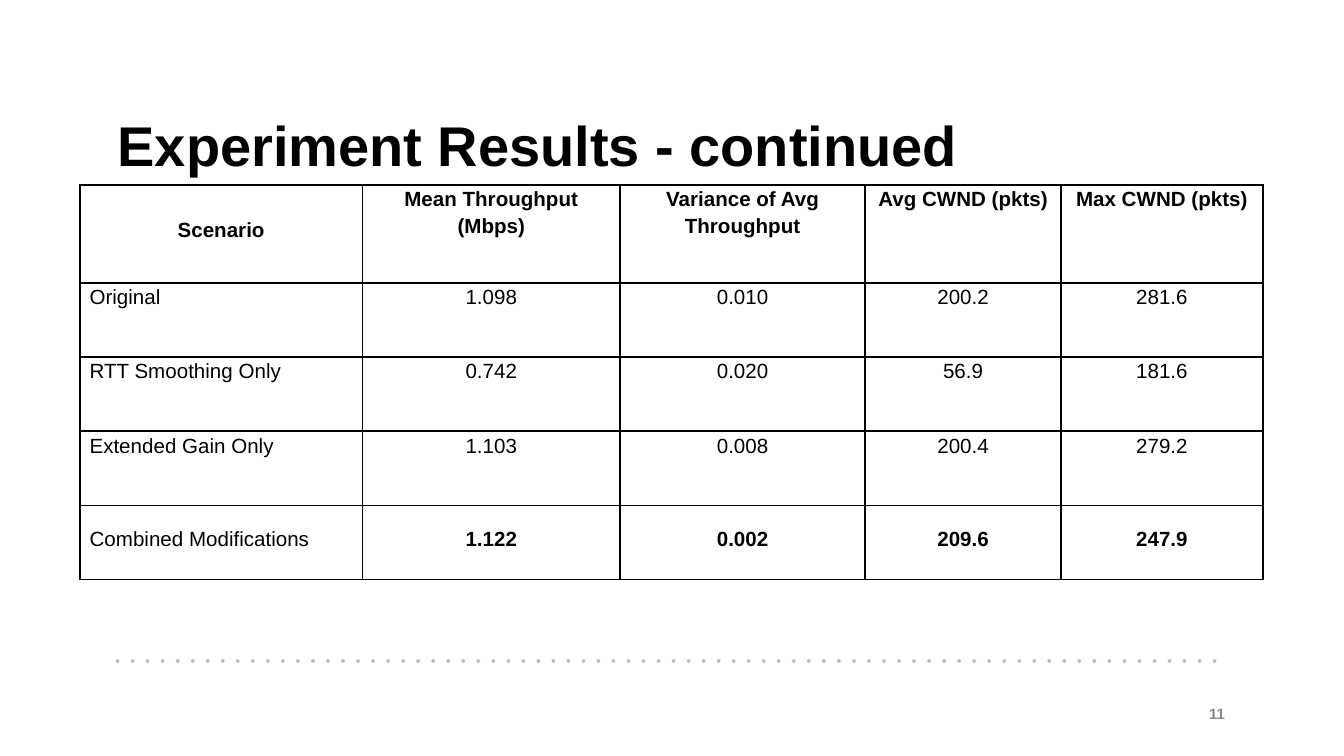
from lxml.etree import SubElement
from pptx import Presentation
from pptx.dml.color import RGBColor
from pptx.enum.shapes import MSO_CONNECTOR
from pptx.enum.text import MSO_ANCHOR, PP_ALIGN
from pptx.oxml import parse_xml
from pptx.oxml.ns import nsdecls, qn
from pptx.util import Pt

PX = 9525
THEME = {
    "font": "Arial",
    "ink": "000000",
    "muted": "888888",
    "rule": "BFBFBF",
    "title": 30,
    "body": 11,
    "number": 8,
}


def write_text(frame, text, size, color=THEME["ink"], bold=False, align=PP_ALIGN.LEFT,
               line_spacing=1.0, gap=0):
    para = frame.paragraphs[0]
    para.alignment = align
    para.line_spacing = line_spacing
    para.space_before = para.space_after = Pt(gap)
    span = para.add_run()
    span.text = text
    span.font.name = THEME["font"]
    span.font.size = Pt(size)
    span.font.bold = bold
    span.font.color.rgb = RGBColor.from_string(color)


def add_text_box(page, bounds, margins, text, **format_options):
    box = page.shapes.add_textbox(*[value * PX for value in bounds])
    frame = box.text_frame
    frame.word_wrap = True
    frame.vertical_anchor = MSO_ANCHOR.MIDDLE
    frame.margin_left = frame.margin_right = margins[0] * PX
    frame.margin_top = frame.margin_bottom = margins[1] * PX
    write_text(frame, text, **format_options)


deck = Presentation()
deck.slide_width = 960 * PX
deck.slide_height = 540 * PX
page = deck.slides.add_slide(deck.slide_layouts[6])

rule = page.shapes.add_connector(MSO_CONNECTOR.STRAIGHT, 84 * PX, 472 * PX, 876 * PX, 472 * PX)
rule.line.width = Pt(2)
rule.line.color.rgb = RGBColor.from_string(THEME["rule"])
outline = rule.line._get_or_add_ln()
outline.set("cap", "rnd")
SubElement(outline, qn("a:prstDash"), val="dot")
SubElement(rule._element.spPr, qn("a:effectLst"))

add_text_box(page, (84, 67, 792, 84), (0, 0), "Experiment Results - continued",
             size=THEME["title"], bold=True, line_spacing=0.7)
add_text_box(page, (666, 495, 216, 29), (7, 4), "11", size=THEME["number"],
             color=THEME["muted"], bold=True, align=PP_ALIGN.RIGHT)

rows = [
    ["Scenario", "Mean Throughput (Mbps)", "Variance of Avg Throughput",
     "Avg CWND (pkts)", "Max CWND (pkts)"],
    ["Original", "1.098", "0.010", "200.2", "281.6"],
    ["RTT Smoothing Only", "0.742", "0.020", "56.9", "181.6"],
    ["Extended Gain Only", "1.103", "0.008", "200.4", "279.2"],
    ["Combined Modifications", "1.122", "0.002", "209.6", "247.9"],
]
column_widths = [202, 184, 175, 140, 144]
row_heights = [70] + [53] * 4
last_row = len(rows) - 1

results = page.shapes.add_table(len(rows), len(column_widths), 57 * PX, 132 * PX,
                                sum(column_widths) * PX, sum(row_heights) * PX).table
results.first_row = False
results.horz_banding = False
for column, width in zip(results.columns, column_widths):
    column.width = width * PX
for row, height in zip(results.rows, row_heights):
    row.height = height * PX

for row_index, values in enumerate(rows):
    for column_index, value in enumerate(values):
        is_header = row_index == 0
        is_label = column_index == 0
        is_last = row_index == last_row
        cell = results.cell(row_index, column_index)
        cell.margin_left = cell.margin_right = cell.margin_bottom = 7 * PX
        cell.margin_top = 0
        centred = is_last or (is_header and is_label)
        cell.vertical_anchor = MSO_ANCHOR.MIDDLE if centred else MSO_ANCHOR.TOP
        properties = cell._tc.get_or_add_tcPr()
        for side in ("lnL", "lnR", "lnT", "lnB"):
            properties.append(parse_xml(
                f'<a:{side} {nsdecls("a")} w="{Pt(1)}"><a:solidFill>'
                f'<a:srgbClr val="{THEME["ink"]}"/></a:solidFill></a:{side}>'))
        cell.fill.background()
        write_text(cell.text_frame, value, size=THEME["body"],
                   bold=is_header or (is_last and not is_label),
                   align=PP_ALIGN.LEFT if is_label and not is_header else PP_ALIGN.CENTER,
                   line_spacing=1.15, gap=12)

deck.save("out.pptx")
